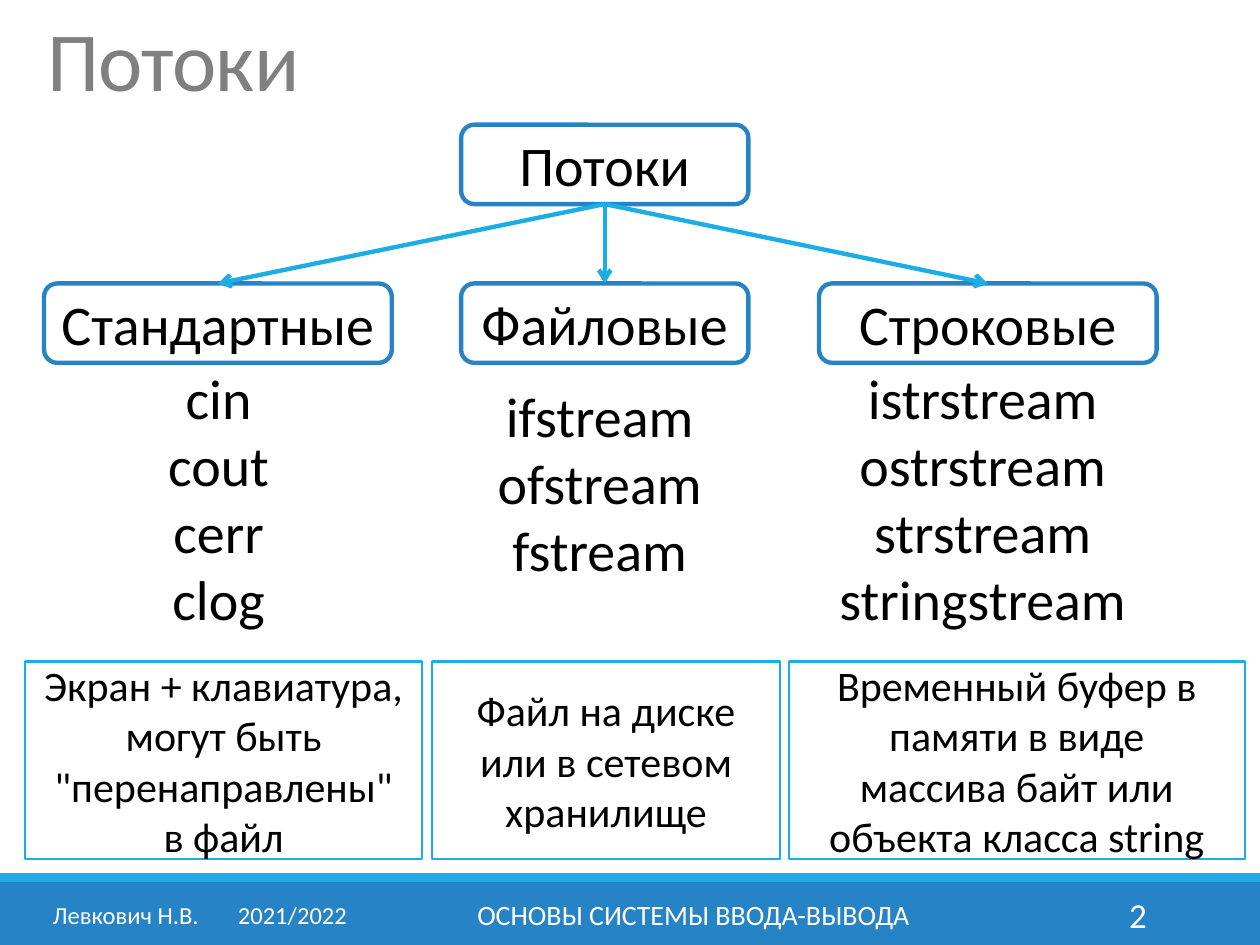
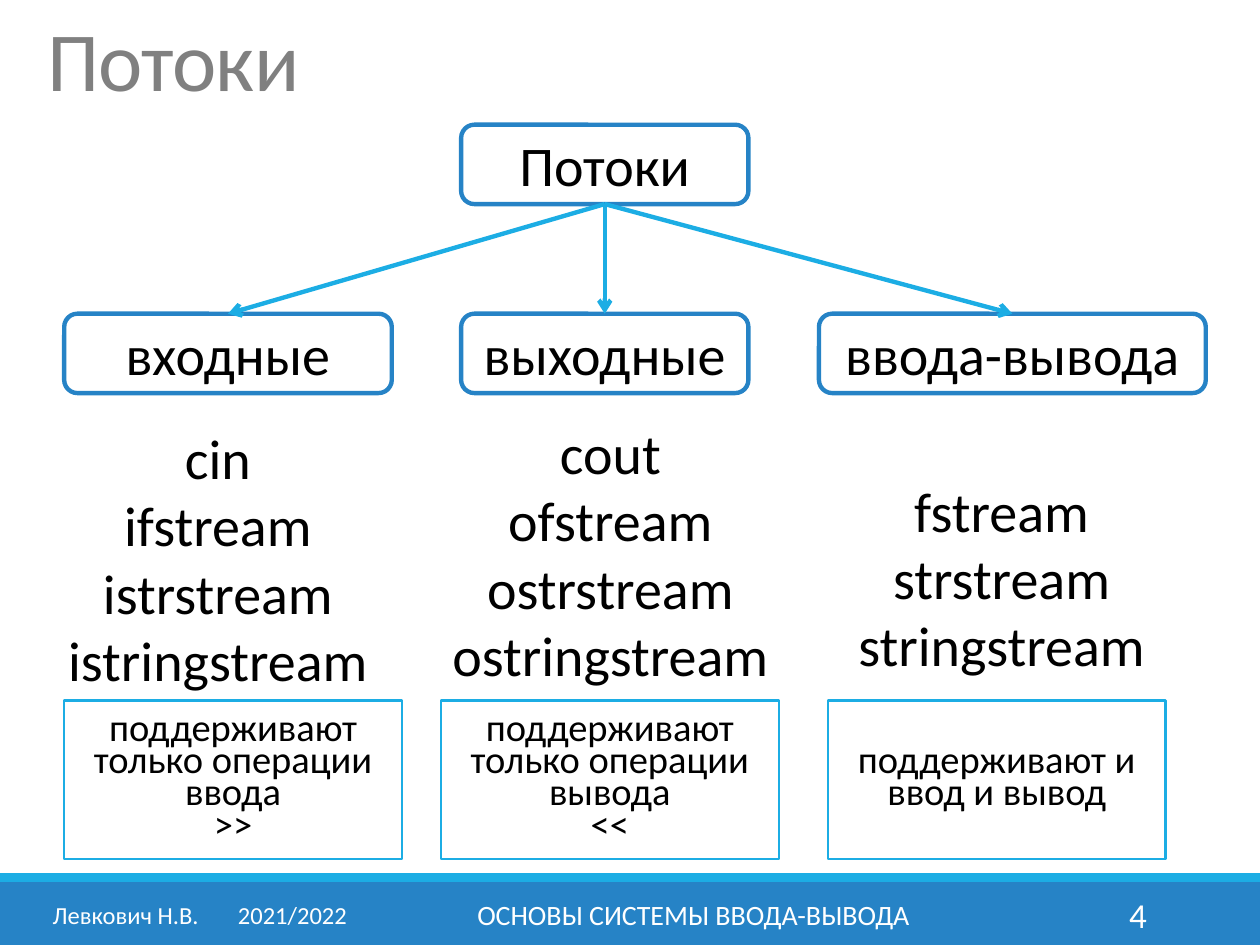
from lxml.etree import SubElement
from pptx import Presentation
from pptx.dml.color import RGBColor
from pptx.enum.shapes import MSO_CONNECTOR, MSO_SHAPE
from pptx.enum.text import MSO_ANCHOR, PP_ALIGN
from pptx.oxml.ns import qn
from pptx.util import Inches, Pt

COLORS = {"band": "2683C6", "accent": "1CADE4", "title": "808080",
          "text": "000000", "white": "FFFFFF"}
FONT = "Calibri"
ROOT_LEFT, ROOT_TOP, ROOT_WIDTH, NODE_HEIGHT = 3.66, 0.99, 2.28, 0.63
FOOTER_TOP, FOOTER_HEIGHT = 7.06, 0.4

STREAMS_BY_DEVICE = {
    "number": "2",
    "node_top": 2.25,
    "note_top": 5.25,
    "note_size": 24,
    "note_spacing": None,
    "branches": [
        {"name": "Стандартные", "node": (0.35, 2.76),
         "classes": "cin\ncout\ncerr\nclog", "list": (0.91, 2.73, 1.65, 2.44),
         "note": "Экран + клавиатура, могут быть \"перенаправлены\"\nв файл",
         "note_place": (0.2, 3.15)},
        {"name": "Файловые", "node": (3.66, 2.28),
         "classes": "ifstream\nofstream\nfstream", "list": (3.58, 2.88, 2.36, 1.89),
         "note": "Файл на диске или в сетевом хранилище",
         "note_place": (3.43, 2.76)},
        {"name": "Строковые", "node": (6.5, 2.68),
         "classes": "istrstream\nostrstream\nstrstream\nstringstream",
         "list": (6.5, 2.73, 2.6, 2.44),
         "note": "Временный буфер в памяти в виде\nмассива байт или\nобъекта класса string",
         "note_place": (6.26, 3.62)},
    ],
}

STREAMS_BY_DIRECTION = {
    "number": "4",
    "node_top": 2.49,
    "note_top": 5.56,
    "note_size": 22,
    "note_spacing": 0.7,
    "branches": [
        {"name": "входные", "node": (0.51, 2.6),
         "classes": "cin\nifstream\nistrstream\nistringstream",
         "list": (0.43, 3.36, 2.6, 2.14),
         "note": "поддерживают только операции ввода\n>>",
         "note_place": (0.51, 2.68)},
        {"name": "выходные", "node": (3.66, 2.28),
         "classes": "cout\nofstream\nostrstream\nostringstream",
         "list": (3.43, 3.32, 2.83, 2.14),
         "note": "поддерживают только операции вывода\n<<",
         "note_place": (3.5, 2.68)},
        {"name": "ввода-вывода", "node": (6.5, 3.07),
         "classes": "fstream\nstrstream\nstringstream",
         "list": (6.65, 3.36, 2.6, 2.44),
         "note": "поддерживают и ввод и вывод",
         "note_place": (6.57, 2.68)},
    ],
}


def rgb(name):
    return RGBColor.from_string(COLORS[name])


def write(box, text, size, color="text", align=PP_ALIGN.CENTER,
          anchor=MSO_ANCHOR.MIDDLE, spacing=None):
    frame = box.text_frame
    frame.word_wrap = True
    frame.vertical_anchor = anchor
    frame.text = text
    for para in frame.paragraphs:
        para.alignment = align
        if spacing:
            para.line_spacing = spacing
        for span in para.runs:
            span.font.name = FONT
            span.font.size = Pt(size)
            span.font.color.rgb = rgb(color)


def add_text(slide, place, text, size, **style):
    box = slide.shapes.add_textbox(*map(Inches, place))
    write(box, text, size, **style)
    return box


def add_box(slide, kind, place, fill=None, line=None, width=0):
    box = slide.shapes.add_shape(kind, *map(Inches, place))
    box.shadow.inherit = False
    if fill:
        box.fill.solid()
        box.fill.fore_color.rgb = rgb(fill)
    else:
        box.fill.background()
    if line:
        box.line.color.rgb = rgb(line)
        box.line.width = Pt(width)
    else:
        box.line.fill.background()
    return box


def add_node(slide, left, top, width, name):
    node = add_box(slide, MSO_SHAPE.ROUNDED_RECTANGLE,
                   (left, top, width, NODE_HEIGHT), "white", "band", 2.5)
    write(node, name, 32)
    return node


def add_arrow(slide, parent, child):
    arrow = slide.shapes.add_connector(MSO_CONNECTOR.STRAIGHT, 0, 0, 0, 0)
    arrow.begin_connect(parent, 2)
    arrow.end_connect(child, 0)
    arrow.line.color.rgb = rgb("accent")
    arrow.line.width = Pt(2.5)
    SubElement(arrow.line._get_or_add_ln(), qn("a:tailEnd"), type="arrow")
    SubElement(arrow._element.spPr, qn("a:effectLst"))


def add_title(slide, text):
    title = add_text(slide, (0.28, 0.13, 9.45, 0.87), text, 48, color="title",
                     align=PP_ALIGN.LEFT, anchor=MSO_ANCHOR.TOP, spacing=0.85)
    title.text_frame.paragraphs[0].runs[0].font._element.set("spc", "-50")


def add_footer(slide, number):
    def footer_text(left, width, text, size, align):
        return add_text(slide, (left, FOOTER_TOP, width, FOOTER_HEIGHT), text, size,
                        color="white", align=align)

    author = footer_text(0.32, 2.61, "Левкович Н.В.\t2021/2022", 14, PP_ALIGN.LEFT)
    properties = author.text_frame.paragraphs[0]._p.get_or_add_pPr()
    tabs = SubElement(properties, qn("a:tabLst"))
    SubElement(tabs, qn("a:tab"), pos=str(Inches(1.47)), algn="l")
    footer_text(3.02, 4.97, "ОСНОВЫ СИСТЕМЫ ВВОДА-ВЫВОДА", 16, PP_ALIGN.CENTER)
    footer_text(8.12, 1.08, number, 20, PP_ALIGN.RIGHT)


def add_note(slide, branch, scheme):
    left, width = branch["note_place"]
    top = scheme["note_top"]
    note = add_box(slide, MSO_SHAPE.RECTANGLE, (left, top, width, 6.82 - top),
                   line="accent", width=1.25)
    write(note, branch["note"], scheme["note_size"], spacing=scheme["note_spacing"])


def add_stream_slide(deck, scheme):
    slide = deck.slides.add_slide(deck.slide_layouts[6])
    add_box(slide, MSO_SHAPE.RECTANGLE, (0, 7, 10, 0.5), "band")
    add_box(slide, MSO_SHAPE.RECTANGLE, (0, 6.93, 10, 0.07), "accent")
    add_title(slide, "Потоки")
    root = add_node(slide, ROOT_LEFT, ROOT_TOP, ROOT_WIDTH, "Потоки")
    for branch in scheme["branches"]:
        left, width = branch["node"]
        node = add_node(slide, left, scheme["node_top"], width, branch["name"])
        add_text(slide, branch["list"], branch["classes"], 32)
        add_arrow(slide, root, node)
        add_note(slide, branch, scheme)
    add_footer(slide, scheme["number"])


def main():
    deck = Presentation()
    deck.slide_width = Inches(10)
    deck.slide_height = Inches(7.5)
    for scheme in (STREAMS_BY_DEVICE, STREAMS_BY_DIRECTION):
        add_stream_slide(deck, scheme)
    deck.save("out.pptx")


if __name__ == "__main__":
    main()
